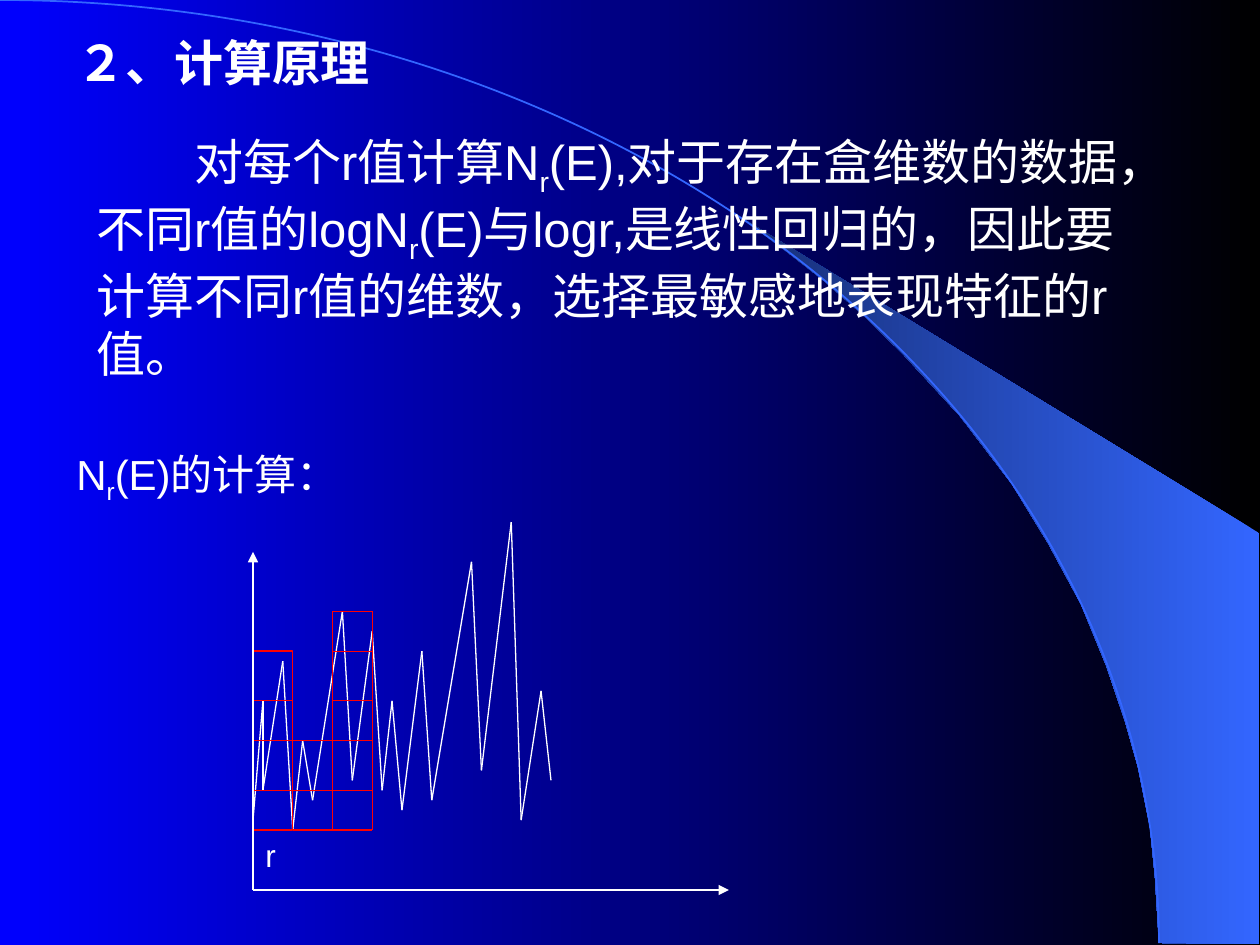
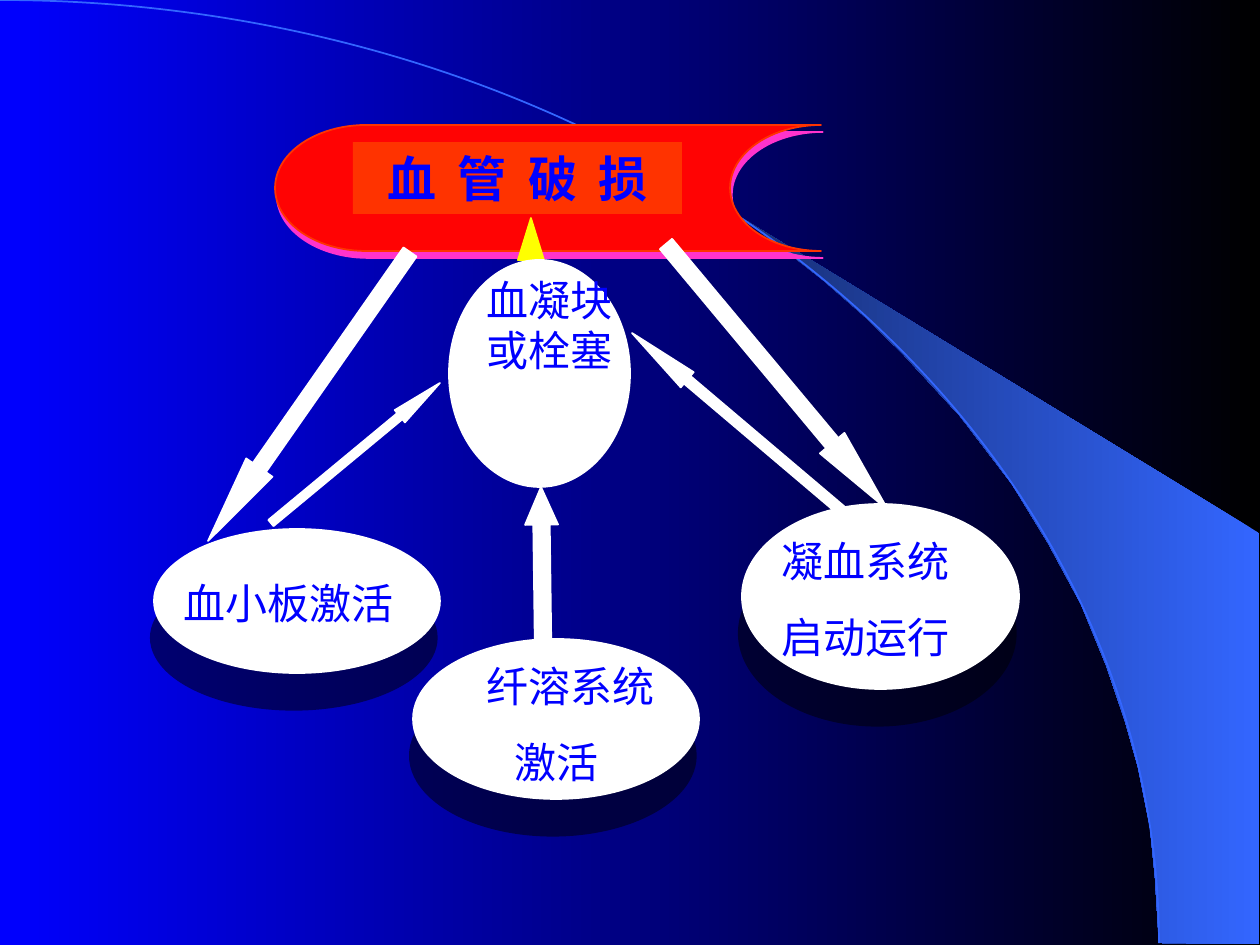
from itertools import pairwise
from math import atan2, degrees, hypot

from lxml.etree import SubElement
from pptx import Presentation
from pptx.dml.color import RGBColor
from pptx.enum.shapes import MSO_CONNECTOR, MSO_SHAPE
from pptx.enum.text import PP_ALIGN
from pptx.oxml.ns import qn
from pptx.util import Inches, Pt

SCALE = Inches(1) / 126  # EMU in one px
WIDTH, HEIGHT = 1260, 945

BLACK = RGBColor(0x00, 0x00, 0x00)
WHITE = RGBColor(0xFF, 0xFF, 0xFF)
BLUE = RGBColor(0x00, 0x00, 0xFF)
SKY = RGBColor(0x33, 0x66, 0xFF)
NAVY = RGBColor(0x17, 0x2F, 0x75)
RED = RGBColor(0xFF, 0x00, 0x00)
BANNER_RED = RGBColor(0xFF, 0x03, 0x03)
ORANGE = RGBColor(0xFF, 0x33, 0x00)
PINK = RGBColor(0xFF, 0x33, 0xCC)
YELLOW = RGBColor(0xFF, 0xFF, 0x00)

# Inner edge of the wedge, then its outer corners
WEDGE = [(742, 218), (786, 251), (823, 280), (863, 315), (902, 353), (960, 416),
         (1012, 484), (1048, 543), (1081, 604), (1106, 665), (1125, 721),
         (1138, 767), (1150, 827), (1155, 877), (1159, 943), (1259, 944),
         (1259, 533)]

# Peaks and troughs of the signal, in grid units from the floor of the chart
SIGNAL = [(0, 1), (1, 13), (1, 4), (3, 17), (4, 0), (5, 9), (6, 3), (9, 22),
          (10, 5), (12, 20), (13, 4), (14, 13), (15, 2), (17, 18), (18, 3),
          (22, 27), (23, 6), (26, 31), (27, 1), (29, 14), (30, 5)]
CELL = 4  # width of one counting box in grid units
CELL_LEVELS = [(4, 9, 13), (0, 4, 9), (0, 4, 9, 13, 18, 22)]  # by column


def emu(*lengths):
    return [round(length * SCALE) for length in lengths]


def gradient(fill, first, last):
    fill.gradient()
    fill.gradient_angle = 180
    for stop, color in zip(fill.gradient_stops, (first, last)):
        stop.color.rgb = color


def add_figure(page, kind, box, fill=None, line=None, weight=1):
    figure = page.shapes.add_shape(kind, *emu(*box))
    figure.shadow.inherit = False
    if fill is None:
        figure.fill.background()
    else:
        figure.fill.solid()
        figure.fill.fore_color.rgb = fill
    if line is None:
        figure.line.fill.background()
    else:
        figure.line.color.rgb = line
        figure.line.width = Pt(weight)
    return figure


def add_shadow(figure, color, alpha, distance, angle):
    effects = figure._element.spPr.find(qn("a:effectLst"))
    shadow = SubElement(effects, qn("a:outerShdw"), dist=str(Pt(distance)),
                        dir=str(angle * 60000), algn="ctr", rotWithShape="0")
    tint = SubElement(shadow, qn("a:srgbClr"), val=str(color))
    SubElement(tint, qn("a:alpha"), val=str(alpha * 1000))


def add_line(page, start, end, color, arrow=False):
    line = page.shapes.add_connector(MSO_CONNECTOR.STRAIGHT, *emu(*start, *end))
    line.line.color.rgb = color
    line.line.width = Pt(0.75)
    if arrow:
        SubElement(line.line._get_or_add_ln(), qn("a:tailEnd"), type="triangle")
    SubElement(line._element.spPr, qn("a:effectLst"))


def set_font(para, name, size, color, bold=False):
    para.font.name = name
    para.font.size = Pt(size)
    para.font.color.rgb = color
    para.font.bold = bold


def add_text(page, box, paras, name, size, color, bold=False, before=0):
    """Each paragraph is a list of spans; every second span is a subscript."""
    frame = page.shapes.add_textbox(*emu(*box)).text_frame
    frame.word_wrap = True
    for index, spans in enumerate(paras):
        para = frame.add_paragraph() if index else frame.paragraphs[0]
        if index:
            para.space_before = Pt(before)
        set_font(para, name, size, color, bold)
        for place, text in enumerate(spans):
            span = para.add_run()
            span.text = text
            if place % 2:
                span._r.get_or_add_rPr().set("baseline", "-25000")
    return frame


def add_page(deck):
    page = deck.slides.add_slide(deck.slide_layouts[6])
    gradient(page.background.fill, BLACK, BLUE)

    # Wedge
    outline = page.shapes.build_freeform(*WEDGE[0], scale=SCALE)
    outline.add_line_segments(WEDGE[1:])
    wedge = outline.convert_to_shape()
    wedge.shadow.inherit = False
    wedge.line.fill.background()
    gradient(wedge.fill, SKY, NAVY)

    # Quarter arc
    add_figure(page, MSO_SHAPE.ARC, (-1159, 0, 2318, 1886), line=SKY)
    return page


def add_box_count_chart(page, left, floor, width):
    unit = width / SIGNAL[-1][0]

    def at(column, level):
        return left + column * unit, floor - level * unit

    # Signal
    for start, end in pairwise(SIGNAL):
        add_line(page, at(*start), at(*end), WHITE)

    # Counting boxes
    add_figure(page, MSO_SHAPE.RECTANGLE,
               (*at(0, 18), CELL * unit, 18 * unit), line=RED, weight=0.75)
    for column, levels in enumerate(CELL_LEVELS):
        for level in levels:
            add_line(page, at(column * CELL, level),
                     at((column + 1) * CELL, level), RED)
    for column in (2, 3):
        add_line(page, at(column * CELL, 0), at(column * CELL, 22), RED)

    # Axes and box size
    origin = left, floor + 60
    add_line(page, origin, (left + 476, origin[1]), WHITE, arrow=True)
    add_line(page, origin, (left, floor - 278), WHITE, arrow=True)
    add_text(page, (left, floor, 30, 50), [["r"]], "Arial", 18, WHITE)


def build_principle(deck):
    page = add_page(deck)
    add_text(page, (64, 26, 328, 72), [["２、计算原理"]], "Arial", 28, WHITE, bold=True)
    body = add_text(page, (84, 125, 1072, 265), [[
        "对每个r值计算N", "r", "(E),对于存在盒维数的数据，不同r值的logN", "r",
        "(E)与logr,是线性回归的，因此要计算不同r值的维数，选择最敏感地表现特征的r值。",
    ]], "Arial", 28, WHITE)
    body.paragraphs[0]._p.get_or_add_pPr().set("indent", str(Pt(56)))
    add_text(page, (64, 442, 377, 71), [["N", "r", "(E)的计算："]], "Arial", 24, WHITE)
    add_box_count_chart(page, 253, 830, 298)


def add_banner(page, left, top):
    banner = add_figure(page, MSO_SHAPE.FLOWCHART_STORED_DATA,
                        (left, top, 546, 126), BANNER_RED, ORANGE)
    add_shadow(banner, PINK, 100, 4.1, 76)
    label = add_figure(page, MSO_SHAPE.RECTANGLE,
                       (left + 78, top + 17, 329, 72), ORANGE)
    para = label.text_frame.paragraphs[0]
    para.alignment = PP_ALIGN.CENTER
    set_font(para, "Times New Roman", 28, BLUE, bold=True)
    span = para.add_run()
    span.text = "血 管 破 损"
    span._r.get_or_add_rPr().set("spc", "300")
    add_figure(page, MSO_SHAPE.ISOSCELES_TRIANGLE,
               (left + 243, top + 93, 26, 42), YELLOW, YELLOW)


def add_block_arrow(page, start, tip, thickness, head):
    across, down = tip[0] - start[0], tip[1] - start[1]
    length = hypot(across, down)
    left = (start[0] + tip[0] - length) / 2
    top = (start[1] + tip[1] - thickness) / 2
    arrow = add_figure(page, MSO_SHAPE.RIGHT_ARROW,
                       (left, top, length, thickness), WHITE, WHITE)
    arrow.adjustments[1] = head
    arrow.rotation = degrees(atan2(down, across))


def add_stage(page, box, text_box, lines, shadow=True):
    """The text box is placed from the corner of the ellipse."""
    left, top = box[:2]
    ellipse = add_figure(page, MSO_SHAPE.OVAL, box, WHITE, WHITE)
    if shadow:
        add_shadow(ellipse, BLACK, 50, 21.1, 95)
    across, down, width, height = text_box
    return add_text(page, (left + across, top + down, width, height),
                    [[line] for line in lines], "Times New Roman", 24, BLUE, before=15)


def build_clotting(deck):
    page = add_page(deck)
    add_banner(page, 275, 125)

    # Arrows: start, tip, thickness, head length over thickness
    for arrow in [((410, 252), (208, 541), 32, 2.8),
                  ((271, 523), (440, 383), 16, 3.25),
                  ((666, 244), (888, 510), 32, 2.72),
                  ((848, 516), (632, 333), 20, 3.62),
                  ((543, 639), (541, 487), 33, 1.14)]:
        add_block_arrow(page, *arrow)

    # Stages
    add_stage(page, (449, 260, 181, 227), (25, 8, 156, 113), ["血凝块或栓塞"], shadow=False)
    add_stage(page, (154, 529, 286, 144), (17, 42, 320, 63), ["血小板激活"])
    add_stage(page, (742, 504, 277, 185), (27, 25, 295, 140), ["凝血系统", "启动运行"])
    lysis = add_stage(page, (413, 639, 286, 160), (61, 15, 251, 140), ["纤溶系统", "激活"])
    lysis.paragraphs[1]._p.get_or_add_pPr().set("marL", str(Pt(16)))


def main():
    deck = Presentation()
    deck.slide_width, deck.slide_height = emu(WIDTH, HEIGHT)
    build_principle(deck)
    build_clotting(deck)
    deck.save("out.pptx")


if __name__ == "__main__":
    main()
